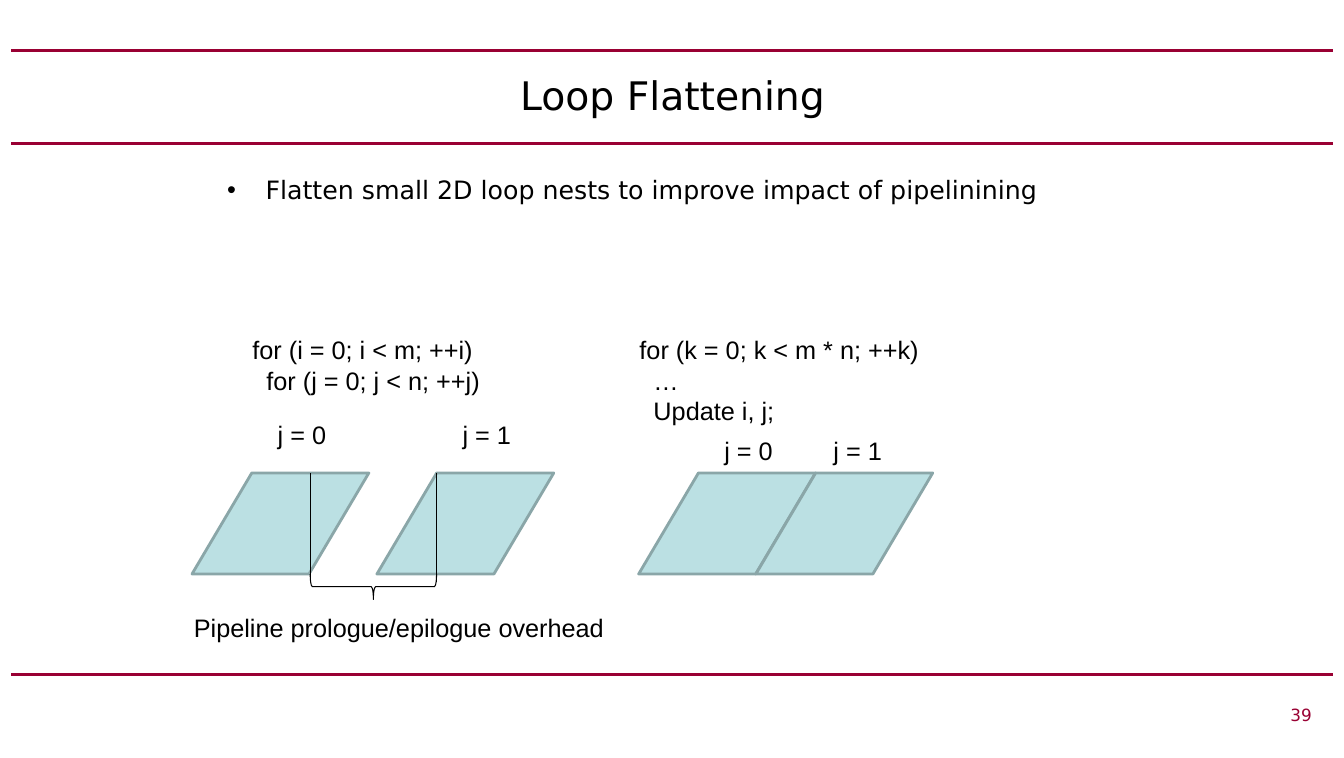
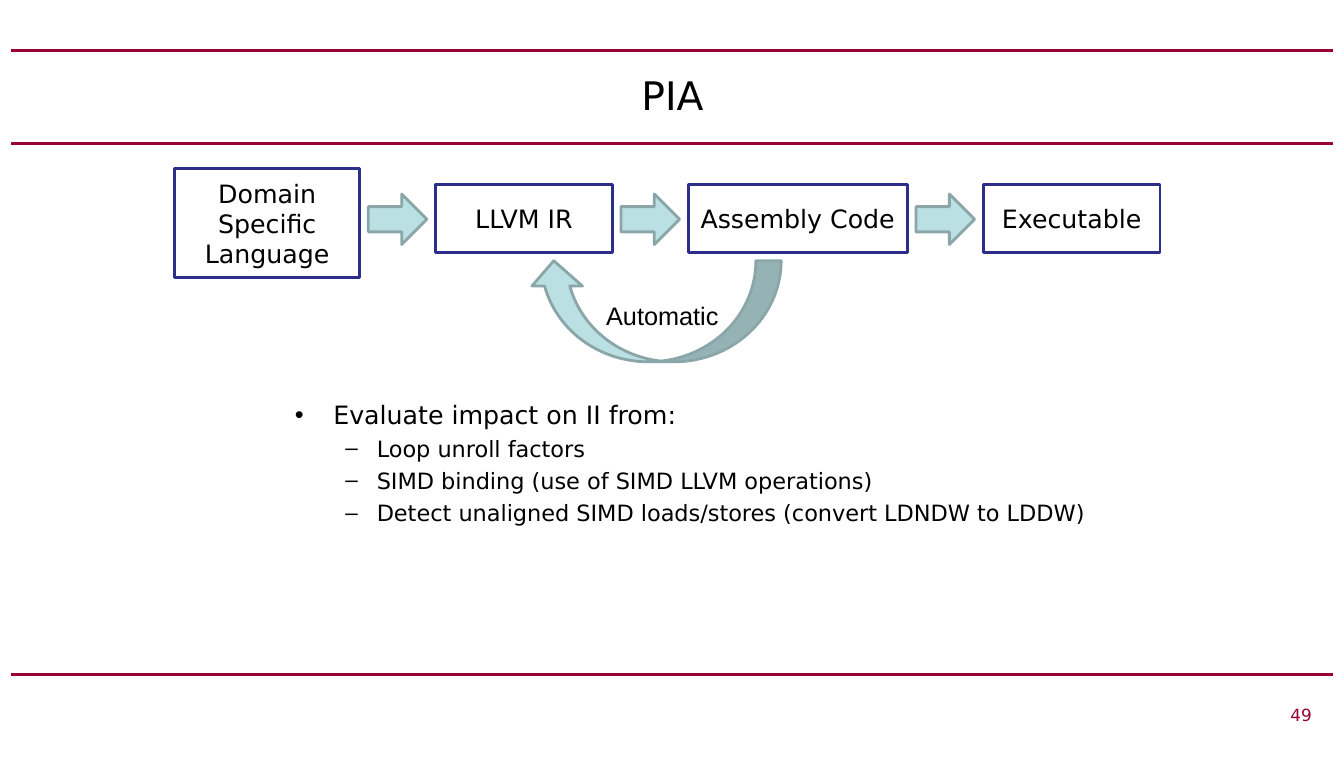
from dataclasses import dataclass
from typing import Optional

from lxml.etree import SubElement
from pptx import Presentation
from pptx.dml.color import RGBColor as RGB
from pptx.enum.shapes import MSO_CONNECTOR, MSO_SHAPE as SHAPE
from pptx.enum.text import MSO_ANCHOR as ANCHOR, PP_ALIGN as ALIGN
from pptx.oxml.ns import qn
from pptx.util import Inches, Pt


@dataclass(frozen=True)
class Theme:
    rule: RGB = RGB(0x99, 0x00, 0x33)
    ink: RGB = RGB(0, 0, 0)
    paper: RGB = RGB(0xFF, 0xFF, 0xFF)
    fill: RGB = RGB(0xBB, 0xE0, 0xE3)
    edge: RGB = RGB(0x8A, 0xA6, 0xA8)
    box_edge: RGB = RGB(0x2D, 0x2D, 0x8A)
    head_font: str = "DejaVu Sans"
    label_font: str = "Arial"
    title: int = 28
    body: int = 18
    sub: int = 16
    footer: int = 12


@dataclass(frozen=True)
class Bullet:
    text: str
    level: int = 0


@dataclass(frozen=True)
class Label:
    text: str
    left: float
    top: float
    width: float
    height: float = 0.4


@dataclass(frozen=True)
class Iteration:
    name: str
    left: float
    label_left: float
    label_top: float


@dataclass(frozen=True)
class Stage:
    name: str
    top: float
    width: float
    height: float


T = Theme()
RULES = (0.5, 1.42, 6.67)
PIPE_TOP, PIPE_W, PIPE_H, PIPE_SLANT = 4.68, 1.75, 1, 0.592

ITERATIONS = (
    Iteration("j = 0", 1.9, 2.65, 4.1),
    Iteration("j = 1", 3.73, 4.48, 4.1),
    Iteration("j = 0", 6.32, 7.07, 4.26),
    Iteration("j = 1", 7.48, 8.15, 4.26),
)
LOOP_LABELS = (
    Label("for (i = 0; i < m; ++i)\n  for (j = 0; j < n; ++j)", 2.4, 3.26, 2.67, 0.71),
    Label("for (k = 0; k < m * n; ++k)\n  …\n  Update i, j;", 6.23, 3.26, 3.75, 1.01),
    Label("Pipeline prologue/epilogue overhead", 1.82, 6.01, 4.67),
)
STAGES = (
    Stage("Domain Specific Language", 1.67, 1.83, 1.08),
    Stage("LLVM IR", 1.83, 1.75, 0.67),
    Stage("Assembly Code", 1.83, 2.17, 0.67),
    Stage("Executable", 1.83, 1.75, 0.67),
)
STAGE_LEFT, STAGE_GAP, ARROW_W = 1.73, 0.75, 0.58
PIA_BULLETS = (
    Bullet("Evaluate impact on II from:"),
    Bullet("Loop unroll factors", 1),
    Bullet("SIMD binding (use of SIMD LLVM operations)", 1),
    Bullet("Detect unaligned SIMD loads/stores (convert LDNDW to LDDW)", 1),
)


def write(p, text: str, *, size: int = T.body, font: str = T.head_font,
          color: RGB = T.ink, align: ALIGN = ALIGN.LEFT) -> None:
    p.alignment = align
    r = p.add_run()
    r.text = text
    r.font.size, r.font.name = Pt(size), font
    r.font.color.rgb = color


def add_frame(s, left: float, top: float, width: float, height: float):
    tf = s.shapes.add_textbox(Inches(left), Inches(top), Inches(width), Inches(height)).text_frame
    tf.word_wrap = True
    return tf


def add_label(s, label: Label) -> None:
    tf = add_frame(s, label.left, label.top, label.width, label.height)
    for i, line in enumerate(label.text.split("\n")):
        write(tf.add_paragraph() if i else tf.paragraphs[0], line, font=T.label_font)


def add_bullets(s, bullets: tuple[Bullet, ...], left: float, top: float,
                width: float, height: float) -> None:
    tf = add_frame(s, left, top, width, height)
    for i, item in enumerate(bullets):
        p = tf.add_paragraph() if i else tf.paragraphs[0]
        margin, hang, mark, size = (
            (0.81, 0.31, "–", T.sub) if item.level else (0.38, 0.38, "•", T.body))
        p.level = item.level
        pPr = p._p.get_or_add_pPr()
        pPr.set("marL", str(Inches(margin)))
        pPr.set("indent", str(-Inches(hang)))
        SubElement(pPr, qn("a:buFont")).set("typeface", T.label_font)
        SubElement(pPr, qn("a:buChar")).set("char", mark)
        if i:
            p.space_before = Pt(3.7)
        write(p, item.text, size=size)


def add_line(s, x1: float, y1: float, x2: float, y2: float, color: RGB, width: float) -> None:
    c = s.shapes.add_connector(MSO_CONNECTOR.STRAIGHT, Inches(x1), Inches(y1), Inches(x2), Inches(y2))
    c.line.color.rgb, c.line.width = color, Pt(width)
    SubElement(c._element.spPr, qn("a:effectLst"))


def add_figure(s, kind: SHAPE, left: float, top: float, width: float, height: float, *,
               fill: Optional[RGB] = T.fill, line: RGB = T.edge, weight: float = 2,
               rotation: float = 0):
    sh = s.shapes.add_shape(kind, Inches(left), Inches(top), Inches(width), Inches(height))
    sh.shadow.inherit = False
    if fill is None:
        sh.fill.background()
    else:
        sh.fill.solid()
        sh.fill.fore_color.rgb = fill
    sh.line.color.rgb, sh.line.width = line, Pt(weight)
    sh.rotation = rotation
    return sh


def new_slide(prs, title: str, number: int):
    s = prs.slides.add_slide(prs.slide_layouts[6])
    for y in RULES:
        add_line(s, 0.11, y, 13.19, y, T.rule, 2.25)
    tf = add_frame(s, 0.67, 0.5, 11.97, 0.87)
    tf.vertical_anchor = ANCHOR.MIDDLE
    write(tf.paragraphs[0], title, size=T.title, align=ALIGN.CENTER)
    tf = add_frame(s, 3.77, 6.92, 9.31, 0.33)
    write(tf.paragraphs[0], str(number), size=T.footer, color=T.rule, align=ALIGN.RIGHT)
    return s


def loop_flattening(prs) -> None:
    s = new_slide(prs, "Loop Flattening", 39)
    add_bullets(s, (Bullet("Flatten small 2D loop nests to improve impact of pipelinining"),),
                2.15, 1.68, 9, 0.53)
    for it in ITERATIONS:
        sh = add_figure(s, SHAPE.PARALLELOGRAM, it.left, PIPE_TOP, PIPE_W, PIPE_H)
        sh.adjustments[0] = PIPE_SLANT
        add_label(s, Label(it.name, it.label_left, it.label_top, 0.83))
    for x in (3.07, 4.32):
        add_line(s, x, 5.76, x, PIPE_TOP, T.ink, 0.75)
    add_figure(s, SHAPE.LEFT_BRACE, 3.57, 5.18, 0.25, 1.25,
               fill=None, line=T.ink, weight=0.75, rotation=270)
    for label in LOOP_LABELS:
        add_label(s, label)


def pia(prs) -> None:
    s = new_slide(prs, "PIA", 49)
    left = STAGE_LEFT
    for i, stage in enumerate(STAGES):
        if i:
            add_figure(s, SHAPE.RIGHT_ARROW, left - (STAGE_GAP + ARROW_W) / 2, 1.92, ARROW_W, 0.5)
        sh = add_figure(s, SHAPE.RECTANGLE, left, stage.top, stage.width, stage.height,
                        fill=T.paper, line=T.box_edge)
        tf = sh.text_frame
        tf.word_wrap, tf.vertical_anchor = True, ANCHOR.MIDDLE
        write(tf.paragraphs[0], stage.name, align=ALIGN.CENTER)
        left += stage.width + STAGE_GAP
    add_figure(s, SHAPE.CURVED_DOWN_ARROW, 5.23, 2.58, 2.5, 1, rotation=180)
    add_label(s, Label("Automatic", 5.9, 2.92, 1.42))
    add_bullets(s, PIA_BULLETS, 2.82, 3.9, 8.25, 1.52)


def main() -> None:
    prs = Presentation()
    prs.slide_width, prs.slide_height = Inches(13.3), Inches(7.5)
    loop_flattening(prs)
    pia(prs)
    prs.save("out.pptx")


if __name__ == "__main__":
    main()
